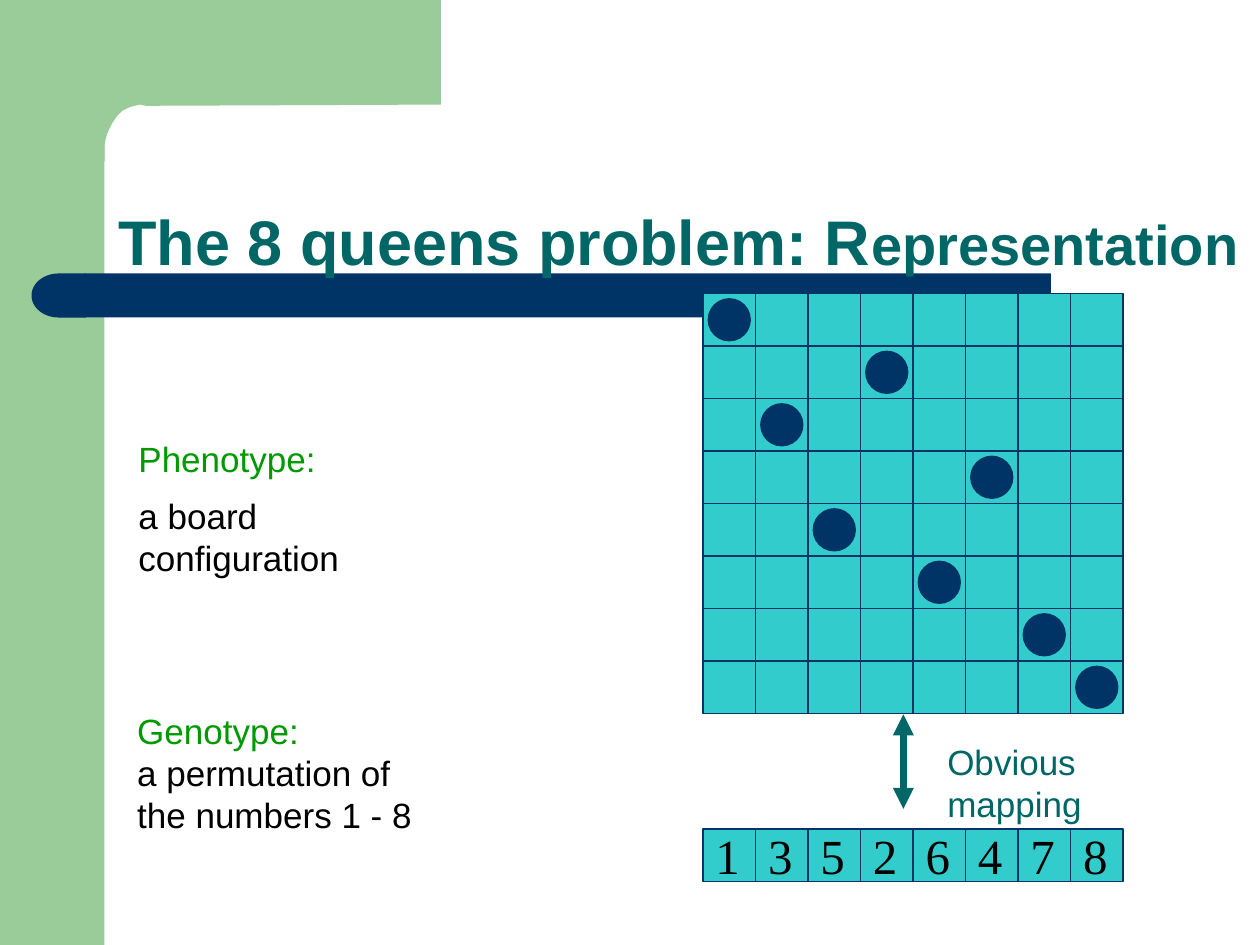
"""Build the slide on how the 8 queens problem is represented."""
import pptx
import pptx.dml.color
import pptx.enum.dml
import pptx.enum.shapes
import pptx.enum.text
import pptx.oxml
import pptx.oxml.ns
import pptx.util

Inches = pptx.util.Inches
Pt = pptx.util.Pt
Shape = pptx.enum.shapes.MSO_SHAPE
Align = pptx.enum.text.PP_ALIGN
Fit = pptx.enum.text.MSO_AUTO_SIZE

GREEN, NAVY, TEAL, AQUA = "99CC99", "003366", "006666", "33CCCC"
LEAF, BLACK = "009900", "000000"

TITLE = [("The 8 queens problem: R", 36), ("epresentation", 32)]
GENES = [1, 3, 5, 2, 6, 4, 7, 8]
LABELS = [
    ((0.99, 5.58, 2.38, 1.1), 0,
     [("Genotype:", LEAF), ("a permutation of", BLACK), ("the numbers 1 - 8", BLACK)]),
    ((1, 3.42, 2.81, 0.9), 9,
     [("Phenotype:", LEAF), ("a board configuration", BLACK)]),
    ((7.42, 5.83, 2.36, 0.44), 0, [("Obvious mapping", TEAL)]),
]
CORNER = [(3.5, 0), (3.5, 0.83), (1.16, 0.84), (1.11, 0.83), (1.03, 0.85),
          (0.97, 0.88), (0.93, 0.92), (0.89, 0.98), (0.86, 1.04), (0.84, 1.1),
          (0.83, 1.16), (0.83, 1.28), (0.5, 1.28), (0.5, 0)]

LEFT, TOP, STRIP = 5.58, 2.33, 6.58
STEP = 5 / 12
QUEEN = 0.33


def rgb(code):
    return pptx.dml.color.RGBColor.from_string(code)


def paint(shape, fill, line=None):
    shape.shadow.inherit = False
    shape.fill.solid()
    shape.fill.fore_color.rgb = rgb(fill)
    if line:
        shape.line.color.rgb = rgb(line)
        shape.line.width = Pt(1)
    else:
        shape.line.fill.background()


def place(kind, box, fill, line=None):
    shape = shapes.add_shape(kind, *map(Inches, box))
    paint(shape, fill, line)
    return shape


def style(font, size, name, code):
    font.size, font.name = Pt(size), name
    font.color.rgb = rgb(code)


def write(box, rows, size, name, align=Align.LEFT, gap=0):
    frame = shapes.add_textbox(*map(Inches, box)).text_frame
    frame.word_wrap = False
    frame.auto_size = Fit.SHAPE_TO_FIT_TEXT
    for i, (text, code) in enumerate(rows):
        para = frame.paragraphs[0] if i == 0 else frame.add_paragraph()
        para.text, para.alignment = text, align
        if i and gap:
            para.space_before = Pt(gap)
        style(para.font, size, name, code)


def draw_frame():
    place(Shape.RECTANGLE, (0, 0, 0.83, 7.5), GREEN)
    points = [(Inches(x), Inches(y)) for x, y in CORNER]
    path = shapes.build_freeform(*points[0])
    path.add_line_segments(points[1:], close=True)
    paint(path.convert_to_shape(), GREEN)
    place(Shape.RECTANGLE, (0.67, 2.17, 7.67, 0.35), NAVY)
    place(Shape.FLOWCHART_DELAY, (0.25, 2.17, 0.43, 0.35), NAVY).rotation = 180


def draw_title():
    title = shapes.title
    title.left, title.top, title.width, title.height = map(Inches, (0.84, 1.39, 9.1, 0.73))
    frame = title.text_frame
    frame.auto_size = Fit.NONE
    frame.vertical_anchor = pptx.enum.text.MSO_ANCHOR.MIDDLE
    para = frame.paragraphs[0]
    para.alignment, para.line_spacing = Align.LEFT, 1.5
    for text, size in TITLE:
        run = para.add_run()
        run.text = text
        style(run.font, size, "Arial", TEAL)
        run.font.bold = True
    shapes._spTree.append(title._element)


def draw_board():
    count = len(GENES)
    tops = [TOP + row * STEP for row in range(count)] + [STRIP]
    for top in tops:
        for col in range(count):
            place(Shape.RECTANGLE, (LEFT + col * STEP, top, STEP, STEP), AQUA, NAVY)
    inset = (STEP - QUEEN) / 2
    for col, gene in enumerate(GENES):
        left = LEFT + col * STEP
        top = TOP + (gene - 1) * STEP
        place(Shape.OVAL, (left + inset, top + inset, QUEEN, QUEEN), NAVY, NAVY)
        write((left, STRIP - 0.08, 0.39, 0.56), [(str(gene), BLACK)], 28,
              "Times New Roman", Align.CENTER)


def draw_arrow():
    ends = map(Inches, (7.17, 5.67, 7.17, 6.42))
    arrow = shapes.add_connector(pptx.enum.shapes.MSO_CONNECTOR.STRAIGHT, *ends)
    arrow.line.color.rgb = rgb(TEAL)
    arrow.line.width = Pt(4)
    line = arrow.line._get_or_add_ln()
    space = pptx.oxml.ns.nsdecls("a")
    for tag in ("headEnd", "tailEnd"):
        line.append(pptx.oxml.parse_xml(f'<a:{tag} {space} type="triangle"/>'))
    arrow._element.spPr.append(pptx.oxml.parse_xml(f"<a:effectLst {space}/>"))


deck = pptx.Presentation()
deck.slide_width, deck.slide_height = Inches(10), Inches(7.5)
shapes = deck.slides.add_slide(deck.slide_layouts[5]).shapes
draw_frame()
draw_title()
draw_board()
draw_arrow()
for box, gap, rows in LABELS:
    write(box, rows, 20, "Arial", gap=gap)
deck.save("out.pptx")
